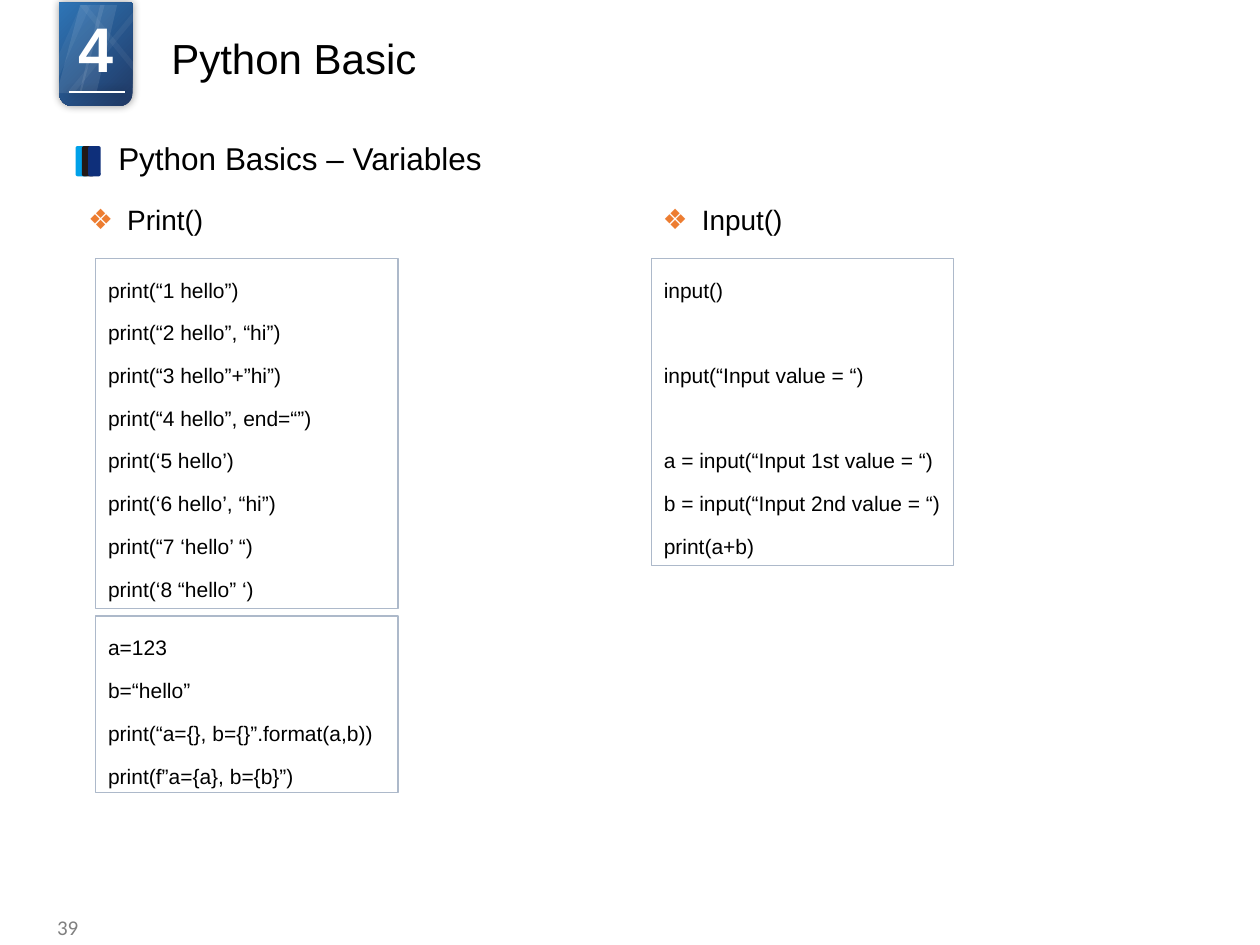
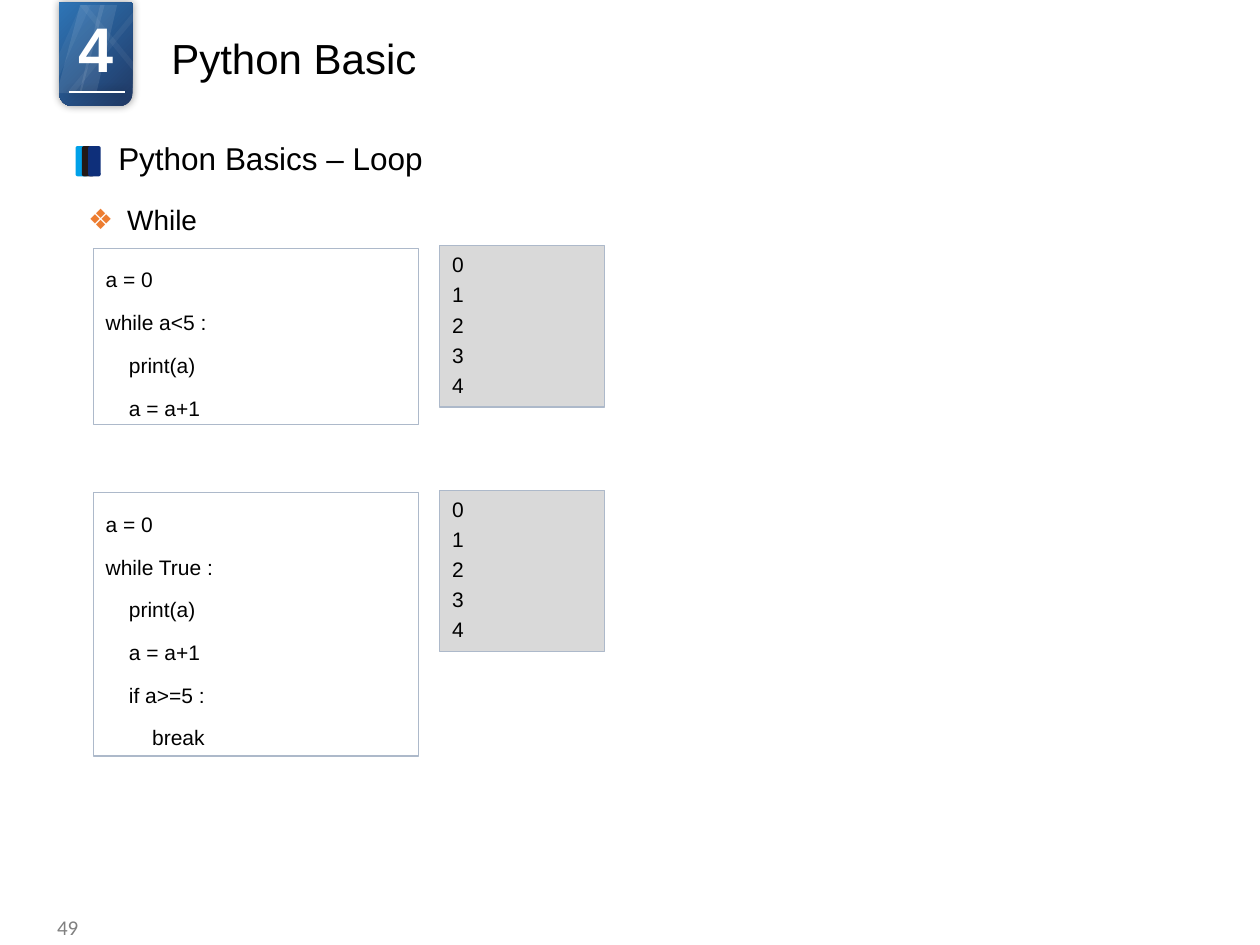
from dataclasses import dataclass, field
from typing import Any

from lxml.etree import SubElement
from pptx import Presentation
from pptx.dml.color import RGBColor
from pptx.enum.shapes import MSO_CONNECTOR, MSO_SHAPE
from pptx.enum.text import MSO_ANCHOR, MSO_AUTO_SIZE, PP_ALIGN
from pptx.oxml.ns import qn
from pptx.util import Inches, Length, Pt

COLORS = {
    "text": "000000",
    "white": "FFFFFF",
    "number": "808080",
    "badge_dark": "203864",
    "badge_light": "2E75B6",
    "bar_cyan": "00A1E9",
    "bar_black": "231916",
    "bar_navy": "0E2F7A",
    "bullet": "ED7D31",
    "border": "ADB9CA",
    "output": "D9D9D9",
}
COLUMNS, ROWS = 100, 75
CELL = Inches(10) // COLUMNS
BLANK_LINE = Pt(24.4)
TWO_CONTENT = 3


@dataclass(frozen=True)
class Area:
    column: float
    row: float
    columns: float
    rows: float

    def place(self) -> list[Length]:
        return [Length(round(cells * CELL)) for cells in (self.column, self.row, self.columns, self.rows)]


@dataclass(frozen=True)
class Style:
    size: float
    color: str = "text"
    font: dict[str, Any] = field(default_factory=dict)
    frame: dict[str, Any] = field(default_factory=dict)
    para: dict[str, Any] = field(default_factory=dict)


@dataclass(frozen=True)
class Stripe:
    column: float
    columns: float
    slant: float
    opacity: int
    flipped: bool = False


@dataclass(frozen=True)
class Panel:
    area: Area
    text: str
    is_output: bool = False


@dataclass(frozen=True)
class Page:
    number: str
    section: str
    headings: tuple[str, ...]
    panels: tuple[Panel, ...]


GROW = {"auto_size": MSO_AUTO_SIZE.SHAPE_TO_FIT_TEXT}
MIDDLE = {"vertical_anchor": MSO_ANCHOR.MIDDLE}
LISTED = {"space_after": Pt(2.8), "space_before": Pt(0)}

TITLE = Style(24)
SECTION = Style(18, frame=GROW | MIDDLE, para={"line_spacing": 0.9})
HEADING = Style(16, frame=GROW, para=LISTED)
CODE = Style(12, frame=GROW, para=LISTED | {"line_spacing": 1.5})
OUTPUT = Style(12, frame=GROW, para=LISTED)
CHAPTER = Style(36, "white", {"bold": True}, GROW, {"alignment": PP_ALIGN.CENTER})
NUMBER = Style(12, "number", {"name": "Calibri"}, MIDDLE, {"alignment": PP_ALIGN.RIGHT})

STRIPES = (
    Stripe(4.5, 3.8, 0.49, 9),
    Stripe(6.3, 3.0, 0.55, 9),
    Stripe(5.3, 6.3, 0.91, 5),
    Stripe(3.3, 3.9, 0.8, 5),
    Stripe(6.3, 6.3, 0.91, 5, flipped=True),
)
BARS = ("bar_cyan", "bar_black", "bar_navy")
HEADING_COLUMNS = (6, 51.6)

PRINT_CODE = """print(“1 hello”)
print(“2 hello”, “hi”)
print(“3 hello”+”hi”)
print(“4 hello”, end=“”)
print(‘5 hello’)
print(‘6 hello’, “hi”)
print(“7 ‘hello’ “)
print(‘8 “hello” ‘)"""
FORMAT_CODE = """a=123
b=“hello”
print(“a={}, b={}”.format(a,b))
print(f”a={a}, b={b}”)"""
INPUT_CODE = """input()

input(“Input value = “)

a = input(“Input 1st value = “)
b = input(“Input 2nd value = “)
print(a+b)"""
WHILE_CODE = """a = 0
while a<5 :
    print(a)
    a = a+1"""
BREAK_CODE = """a = 0
while True :
    print(a)
    a = a+1
    if a>=5 :
        break"""
COUNT_OUTPUT = "\n".join(str(count) for count in range(5))

PAGES = (
    Page("39", "Python Basics – Variables", ("Print()", "Input()"), (
        Panel(Area(7.6, 20.5, 24, 27.8), PRINT_CODE),
        Panel(Area(7.6, 48.9, 24, 14), FORMAT_CODE),
        Panel(Area(51.7, 20.5, 24, 24.4), INPUT_CODE),
    )),
    Page("49", "Python Basics – Loop", ("While",), (
        Panel(Area(7.4, 19.7, 25.8, 14), WHILE_CODE),
        Panel(Area(34.9, 19.5, 13.1, 12.8), COUNT_OUTPUT, True),
        Panel(Area(7.4, 39.1, 25.8, 20.9), BREAK_CODE),
        Panel(Area(34.9, 38.9, 13.1, 12.8), COUNT_OUTPUT, True),
    )),
)


def rgb(name: str) -> RGBColor:
    return RGBColor.from_string(COLORS[name])


def set_values(target: Any, values: dict[str, Any]) -> None:
    for name, value in values.items():
        setattr(target, name, value)


def add_bullet(para: Any) -> None:
    properties = para._p.get_or_add_pPr()
    properties.set("marL", str(Inches(0.31)))
    properties.set("indent", str(-Inches(0.31)))
    color = SubElement(properties, qn("a:buClr"))
    SubElement(color, qn("a:srgbClr"), val=COLORS["bullet"])
    SubElement(properties, qn("a:buFont"), typeface="Arial")
    SubElement(properties, qn("a:buChar"), char="❖")


def write(box: Any, text: str, style: Style, bulleted: bool = False) -> None:
    frame = box.text_frame
    defaults = {"word_wrap": True, "auto_size": MSO_AUTO_SIZE.NONE, "vertical_anchor": MSO_ANCHOR.TOP}
    set_values(frame, defaults | style.frame)
    para, after_blank = frame.paragraphs[0], False
    for index, line in enumerate(text.split("\n")):
        if not line:
            after_blank = True
            continue
        if index:
            para = frame.add_paragraph()
        if bulleted:
            add_bullet(para)
        set_values(para, {"alignment": PP_ALIGN.LEFT} | style.para)
        if after_blank:
            para.space_before = BLANK_LINE
        after_blank = False
        span = para.add_run()
        span.text = line
        set_values(span.font, {"name": "Arial", "size": Pt(style.size)} | style.font)
        span.font.color.rgb = rgb(style.color)


def add_text(page: Any, area: Area, text: str, style: Style) -> Any:
    box = page.shapes.add_textbox(*area.place())
    write(box, text, style)
    return box


def fill_placeholder(box: Any, area: Area, text: str, style: Style, bulleted: bool = False) -> None:
    set_values(box, dict(zip(("left", "top", "width", "height"), area.place())))
    write(box, text, style, bulleted)


def add_block(shapes: Any, kind: MSO_SHAPE, area: Area, color: str | None = None) -> Any:
    block = shapes.add_shape(kind, *area.place())
    block.shadow.inherit = False
    block.line.fill.background()
    if color:
        block.fill.solid()
        block.fill.fore_color.rgb = rgb(color)
    else:
        block.fill.background()
    return block


def add_glow(effects: Any) -> None:
    shadow = SubElement(effects, qn("a:outerShdw"), blurRad=str(Pt(5)), dist="0", dir="0")
    color = SubElement(shadow, qn("a:srgbClr"), val=COLORS["text"])
    SubElement(color, qn("a:alpha"), val="40000")


def draw_badge(page: Any) -> None:
    badge = add_block(page.shapes, MSO_SHAPE.ROUND_2_SAME_RECTANGLE, Area(4.7, 0.2, 5.8, 8.2))
    badge.rotation = 180
    badge.fill.gradient()
    badge.fill.gradient_angle = 315
    for stop, color in zip(badge.fill.gradient_stops, ("badge_dark", "badge_light")):
        stop.color.rgb = rgb(color)
    add_glow(badge.element.spPr.find(qn("a:effectLst")))

    start, level, end, _ = Area(9.9, 7.3, 5.5, 0).place()
    rule = page.shapes.add_connector(MSO_CONNECTOR.STRAIGHT, start, level, end, level)
    rule.line.color.rgb = rgb("white")
    rule.line.width = Pt(1)
    add_glow(SubElement(rule.element.spPr, qn("a:effectLst")))

    group = page.shapes.add_group_shape()
    for stripe in STRIPES:
        area = Area(stripe.column, 0.4, stripe.columns, 7)
        block = add_block(group.shapes, MSO_SHAPE.PARALLELOGRAM, area, "white")
        block.adjustments[0] = stripe.slant
        color = block.element.spPr.find(qn("a:solidFill"))[0]
        SubElement(color, qn("a:alpha"), val=str(stripe.opacity * 1000))
        if stripe.flipped:
            block.element.spPr.find(qn("a:xfrm")).set("flipH", "1")

    chapter = add_text(page, Area(4.9, 0.3, 5.4, 7.1), "4", CHAPTER)
    span = chapter.text_frame.paragraphs[0].runs[0]
    span.font._element.set("spc", "-150")


def draw_section(page: Any, section: str) -> None:
    group = page.shapes.add_group_shape()
    for index, color in enumerate(BARS):
        add_block(group.shapes, MSO_SHAPE.ROUNDED_RECTANGLE, Area(6 + index / 2, 11.6, 1, 2.4), color)
    add_text(page, Area(8.4, 10.9, 47.1, 3.7), section, SECTION)


def draw_panel(page: Any, panel: Panel) -> None:
    color, style = ("output", OUTPUT) if panel.is_output else (None, CODE)
    box = add_block(page.shapes, MSO_SHAPE.RECTANGLE, panel.area, color)
    box.line.color.rgb = rgb("border")
    box.line.width = Pt(0.75)
    write(box, panel.text, style)


def draw_page(deck: Any, content: Page) -> None:
    page = deck.slides.add_slide(deck.slide_layouts[TWO_CONTENT])
    fill_placeholder(page.shapes.title, Area(12.6, 2.1, 70.4, 5.7), "Python Basic", TITLE)
    bodies = list(page.placeholders)[1:]
    for body, column, heading in zip(bodies, HEADING_COLUMNS, content.headings):
        fill_placeholder(body, Area(column, 15.6, 38.3, 3.7), heading, HEADING, bulleted=True)
    for body in bodies[len(content.headings):]:
        body.element.getparent().remove(body.element)
    draw_badge(page)
    draw_section(page, content.section)
    for panel in content.panels:
        draw_panel(page, panel)
    add_text(page, Area(2.3, 72.5, 4.9, 2.1), content.number, NUMBER)


def main() -> None:
    deck = Presentation()
    set_values(deck, {"slide_width": CELL * COLUMNS, "slide_height": CELL * ROWS})
    for content in PAGES:
        draw_page(deck, content)
    deck.save("out.pptx")


if __name__ == "__main__":
    main()
